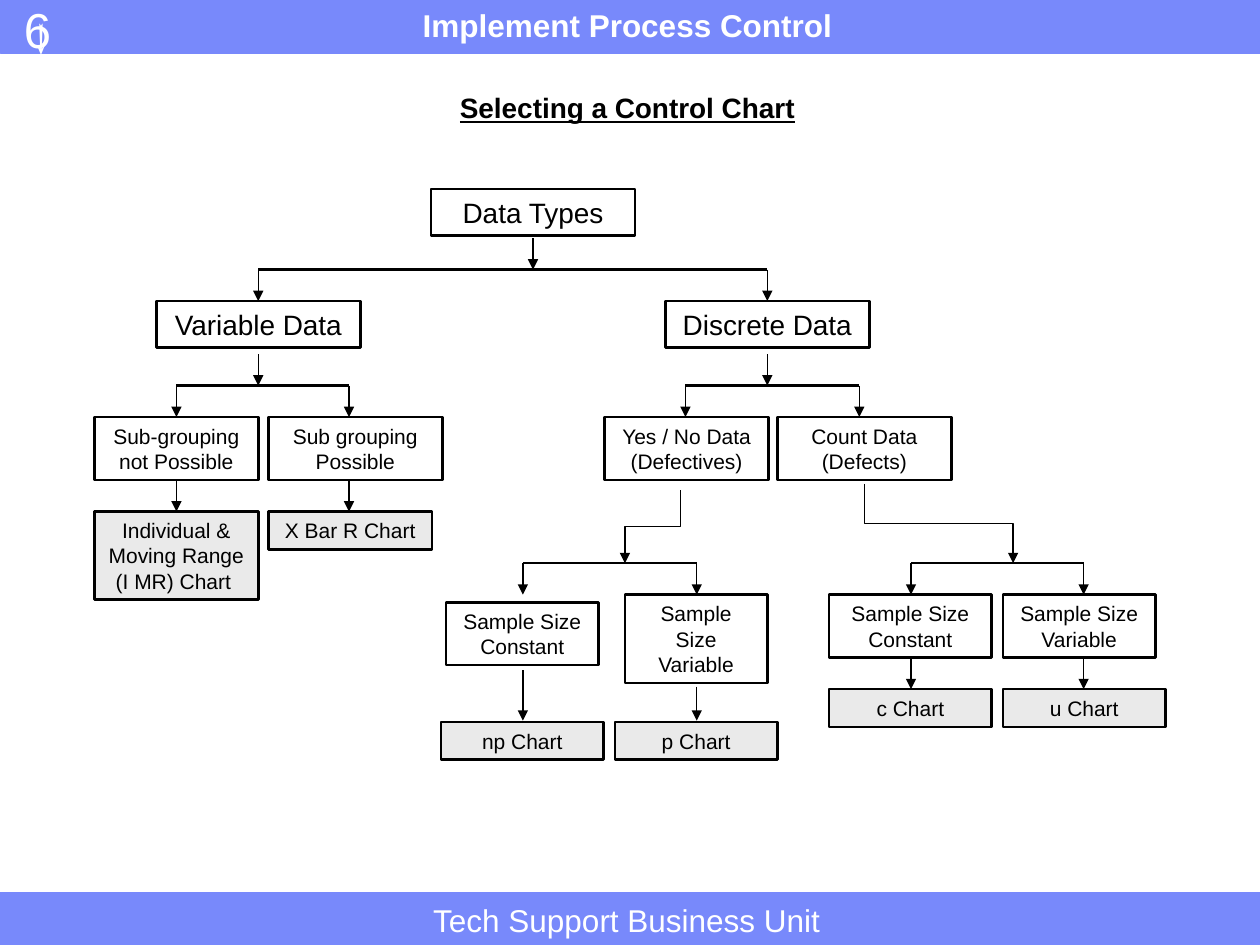
import pptx
import pptx.util
from pptx.dml.color import RGBColor
from pptx.enum.shapes import MSO_CONNECTOR, MSO_SHAPE
from pptx.enum.text import MSO_ANCHOR, MSO_AUTO_SIZE, PP_ALIGN
from pptx.oxml.ns import qn
from pptx.util import Inches
from lxml import etree

PERIWINKLE = RGBColor(0x78, 0x89, 0xFB)
PALE_GREY = RGBColor(0xEA, 0xEA, 0xEA)
BLACK = RGBColor(0, 0, 0)
WHITE = RGBColor(0xFF, 0xFF, 0xFF)
THIN, THICK = 0.74, 1.5
DROP = 0.25

deck = pptx.Presentation()
deck.slide_width, deck.slide_height = Inches(10), Inches(7.5)
slide = deck.slides.add_slide(deck.slide_layouts[5])
shapes = slide.shapes


def write(shape, text, size, color, font="Arial", align=PP_ALIGN.LEFT, wrap=False):
    """Put one run of text in a shape that fits its text, and return the run."""
    frame = shape.text_frame
    frame.word_wrap = wrap
    frame.auto_size = MSO_AUTO_SIZE.SHAPE_TO_FIT_TEXT
    frame.vertical_anchor = MSO_ANCHOR.TOP
    paragraph = frame.paragraphs[0]
    paragraph.alignment = align
    run = paragraph.add_run()
    run.text = text
    run.font.size = pptx.util.Pt(size)
    run.font.name = font
    run.font.color.rgb = color
    return run


def link(x1, y1, x2, y2, width=THIN, arrow=True):
    """Draw a straight line, or an elbow that leaves and arrives vertically."""
    elbow = abs(x2 - x1) > 0.1 and abs(y2 - y1) > 0.1
    if elbow:
        # An elbow runs sideways by default, so its frame is turned a quarter.
        half_w, half_h = (y2 - y1) / 2, abs(x2 - x1) / 2
        mid_x, mid_y = (x1 + x2) / 2, (y1 + y2) / 2
        line = shapes.add_connector(
            MSO_CONNECTOR.ELBOW, Inches(mid_x - half_w), Inches(mid_y - half_h),
            Inches(mid_x + half_w), Inches(mid_y + half_h))
        frame = line._element.spPr.find(qn("a:xfrm"))
        frame.set("rot", str((90 if x2 < x1 else 270) * 60000))
        if x2 > x1:
            frame.set("flipH", "1")
    else:
        line = shapes.add_connector(MSO_CONNECTOR.STRAIGHT, Inches(x1), Inches(y1),
                                    Inches(x2), Inches(y2))
    line.line.color.rgb = BLACK
    line.line.width = pptx.util.Pt(width)
    if arrow:
        etree.SubElement(line.line._get_or_add_ln(), qn("a:tailEnd"), type="triangle")
    etree.SubElement(line._element.spPr, qn("a:effectLst"))


# Header and footer bands, behind the title
for top in (0, 7.08):
    band = shapes.add_shape(MSO_SHAPE.RECTANGLE, 0, Inches(top), Inches(10), Inches(0.42))
    band.shadow.inherit = False
    band.fill.solid()
    band.fill.fore_color.rgb = PERIWINKLE
    band.line.color.rgb = PERIWINKLE
    band.line.width = pptx.util.Pt(0.26)
    shapes._spTree.insert(2, band._element)

# The title is a little wider than its text, so that it stays on one line
title = shapes.title
title.left, title.top = Inches(2.98), Inches(0)
title.width, title.height = Inches(4), Inches(0.4)
title_run = write(title, "Implement Process Control", 18, WHITE,
                  align=PP_ALIGN.CENTER, wrap=True)
title_run.font.bold = True

band_labels = [
    (0.09, -0.05, 0.41, 0.57, "6", 28, "Arial"),
    (0.17, 0.01, 0.44, 0.57, "\u2193", 28, "Cambria"),
    (3.34, 7.1, 3.3, 0.4, "Tech Support Business Unit", 18, "Arial"),
]
for left, top, width, height, text, size, font in band_labels:
    label = shapes.add_textbox(Inches(left), Inches(top), Inches(width), Inches(height))
    write(label, text, size, WHITE, font)

heading = shapes.add_textbox(Inches(3.55), Inches(0.67), Inches(2.86), Inches(0.37))
heading_run = write(heading, "Selecting a Control Chart", 16, BLACK, align=PP_ALIGN.CENTER)
heading_run.font.bold = True
heading_run.font.underline = True

# Decision tree: left, top, width, height, text, size, fill
nodes = [
    (3.42, 1.5, 1.62, 0.37, "Data Types", 16, None),
    (1.24, 2.39, 1.62, 0.37, "Variable Data", 16, None),
    (5.28, 2.39, 1.62, 0.37, "Discrete Data", 16, None),
    (0.75, 3.31, 1.3, 0.5, "Sub-grouping not Possible", 12, None),
    (2.13, 3.31, 1.38, 0.5, "Sub grouping Possible", 12, None),
    (4.8, 3.31, 1.3, 0.5, "Yes / No Data (Defectives)", 12, None),
    (6.17, 3.31, 1.38, 0.5, "Count Data (Defects)", 12, None),
    (3.54, 4.78, 1.21, 0.5, "Sample Size Constant", 12, None),
    (4.96, 4.72, 1.13, 0.7, "Sample Size Variable", 12, None),
    (6.58, 4.72, 1.29, 0.5, "Sample Size Constant", 12, None),
    (7.96, 4.72, 1.21, 0.5, "Sample Size Variable", 12, None),
    (0.75, 4.06, 1.3, 0.7, "Individual & Moving Range (I MR) Chart ", 12, PALE_GREY),
    (2.13, 4.06, 1.3, 0.3, "X Bar R Chart", 12, PALE_GREY),
    (3.5, 5.73, 1.29, 0.3, "np Chart", 12, PALE_GREY),
    (4.88, 5.73, 1.29, 0.3, "p Chart", 12, PALE_GREY),
    (6.58, 5.47, 1.29, 0.3, "c Chart", 12, PALE_GREY),
    (7.96, 5.47, 1.29, 0.3, "u Chart", 12, PALE_GREY),
]
for left, top, width, height, text, size, fill in nodes:
    node = shapes.add_shape(MSO_SHAPE.RECTANGLE, Inches(left), Inches(top),
                            Inches(width), Inches(height))
    node.shadow.inherit = False
    if fill is None:
        node.fill.background()
    else:
        node.fill.solid()
        node.fill.fore_color.rgb = fill
    node.line.color.rgb = BLACK
    node.line.width = pptx.util.Pt(THICK)
    write(node, text, size, BLACK, align=PP_ALIGN.CENTER, wrap=True)
    node.text_frame.paragraphs[0].space_before = pptx.util.Pt(size * 0.625)

# Each fork: start of the stem, where it meets the bar, and the bar's two ends
forks = [
    (4.23, 1.89, 4.23, 2.14, 2.05, 6.09),
    (2.05, 2.81, 2.05, 3.06, 1.4, 2.77),
    (6.09, 2.81, 6.09, 3.06, 5.44, 6.82),
    (5.4, 3.89, 4.96, 4.47, 4.15, 5.53),
    (6.86, 3.84, 8.04, 4.47, 7.23, 8.6),
]
for stem_x, stem_y, bar_x, bar_y, left_end, right_end in forks:
    link(stem_x, stem_y, bar_x, bar_y)
    link(left_end, bar_y, right_end, bar_y, THICK, arrow=False)
    for end in (left_end, right_end):
        link(end, bar_y, end, bar_y + DROP)

# Arrows down to the recommended charts
for x, start, stop in [(1.4, 3.81, 4.06), (2.77, 3.81, 4.06), (4.15, 5.32, 5.72),
                       (5.53, 5.45, 5.72), (7.23, 5.22, 5.47), (8.6, 5.22, 5.47)]:
    link(x, start, x, stop)

deck.save("out.pptx")
